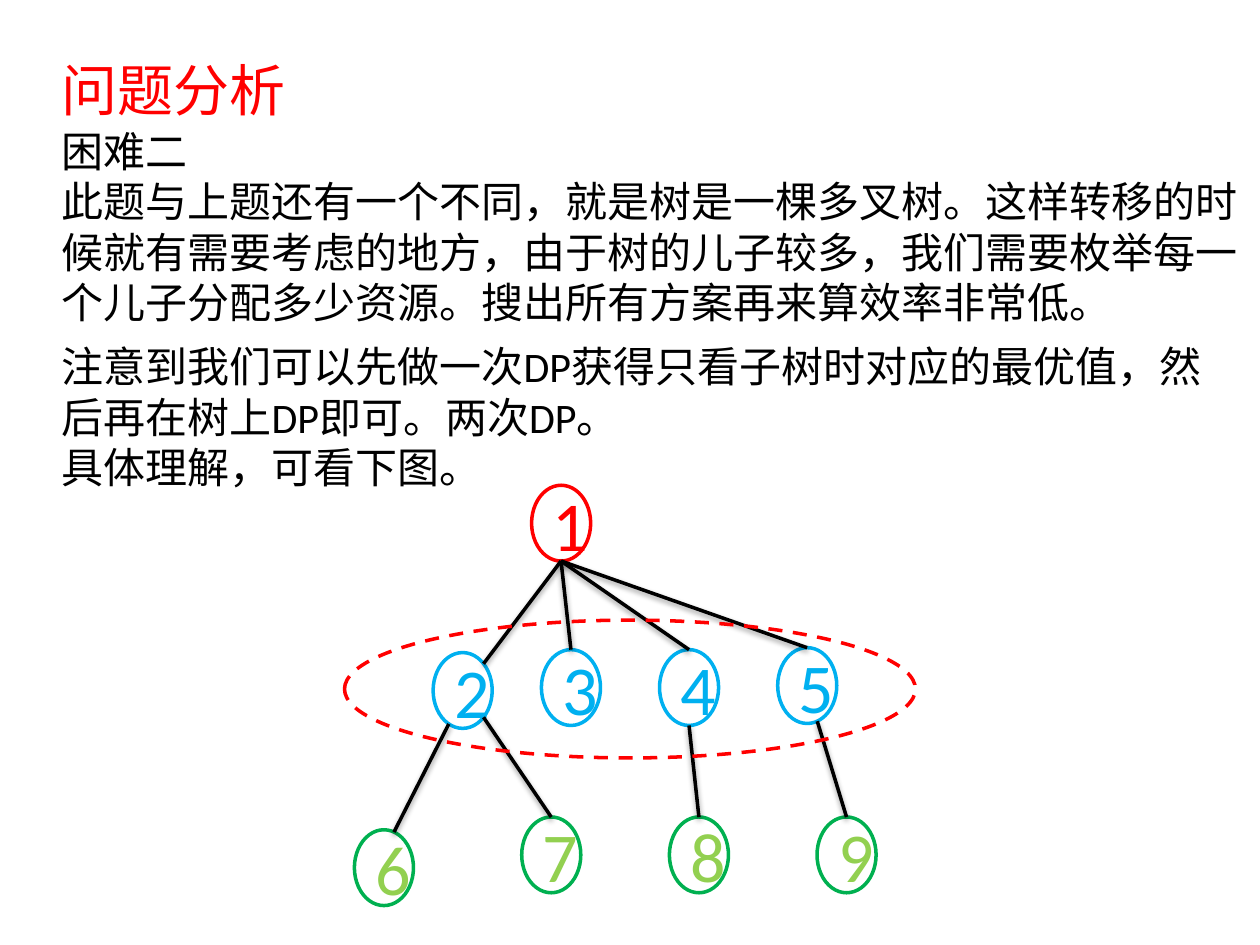
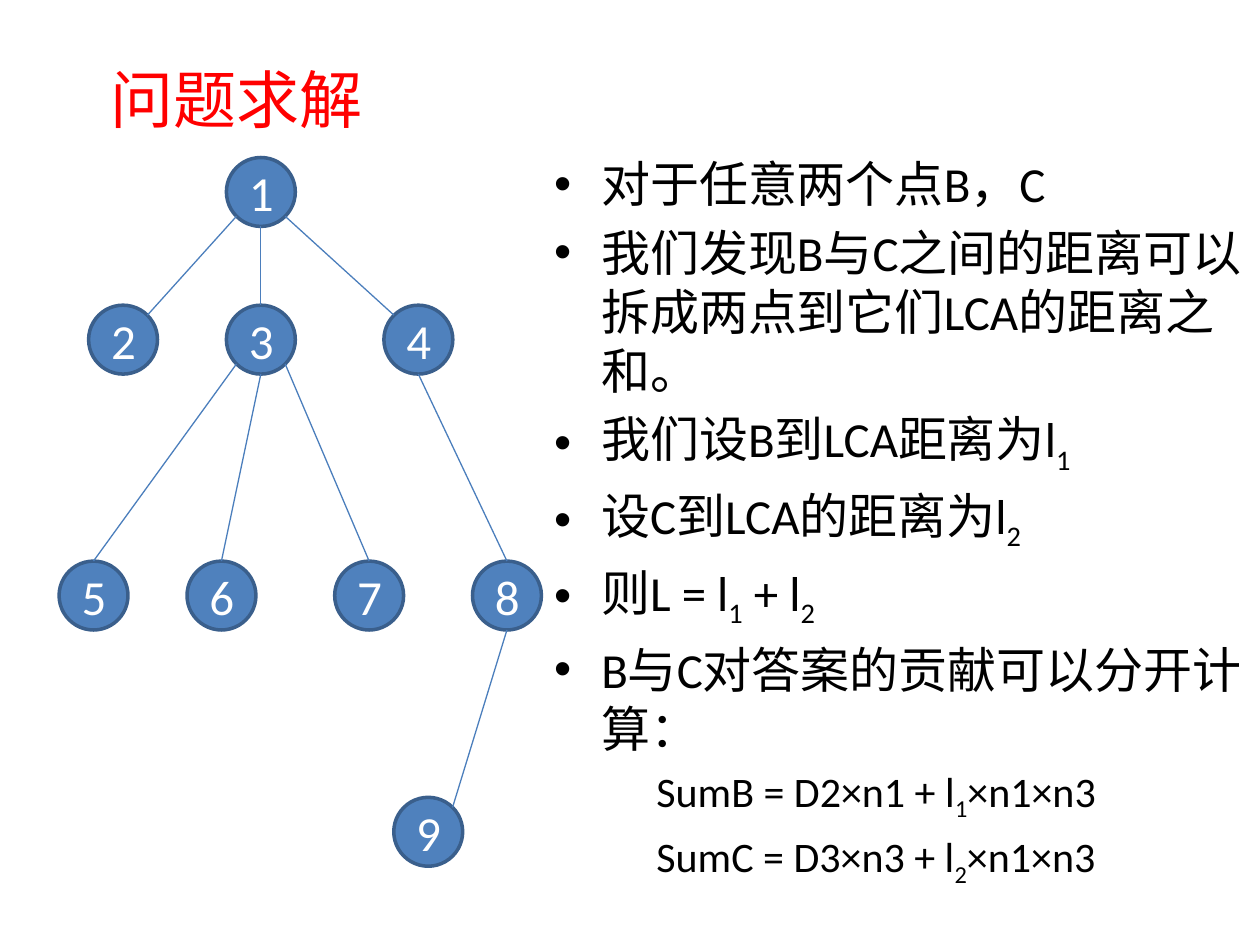
from math import cos, radians, sin

from lxml.etree import SubElement
from pptx import Presentation
from pptx.dml.color import RGBColor
from pptx.enum.dml import MSO_LINE
from pptx.enum.shapes import MSO_CONNECTOR, MSO_SHAPE
from pptx.enum.text import MSO_ANCHOR, MSO_AUTO_SIZE, PP_ALIGN
from pptx.oxml.ns import qn
from pptx.util import Pt

SCALE = 914400 / 128  # EMU in one px
FONT = "Calibri"
RED = RGBColor(0xFF, 0x00, 0x00)
BLACK = RGBColor(0x00, 0x00, 0x00)
WHITE = RGBColor(0xFF, 0xFF, 0xFF)
SKY = RGBColor(0x00, 0xB0, 0xF0)
GREEN = RGBColor(0x00, 0xB0, 0x50)
LIME = RGBColor(0x92, 0xD0, 0x50)
BLUE = RGBColor(0x4F, 0x81, 0xBD)
NAVY = RGBColor(0x3A, 0x5F, 0x8C)
STEEL = RGBColor(0x4B, 0x7E, 0xBC)


def emu(*sizes):
    return [round(size * SCALE) for size in sizes]


def place(shape, box):
    shape.left, shape.top, shape.width, shape.height = emu(*box)


def style(font, size, color):
    font.name = FONT
    font.size = Pt(size)
    font.color.rgb = color


def add_title(slide, text, box, size, align, anchor):
    title = slide.shapes.title
    place(title, box)
    frame = title.text_frame
    frame.text = text
    frame.auto_size = MSO_AUTO_SIZE.NONE
    frame.vertical_anchor = anchor
    para = frame.paragraphs[0]
    para.alignment = align
    style(para.runs[0].font, size, RED)


def add_text(slide, text, box, anchor):
    frame = slide.shapes.add_textbox(*emu(*box)).text_frame
    frame.word_wrap = True
    frame.vertical_anchor = anchor
    frame.text = text
    for para in frame.paragraphs:
        style(para.runs[0].font, 24, BLACK)


def add_oval(slide, box, line, fill=None):
    oval = slide.shapes.add_shape(MSO_SHAPE.OVAL, *emu(*box))
    oval.shadow.inherit = False
    if fill is None:
        oval.fill.background()
    else:
        oval.fill.solid()
        oval.fill.fore_color.rgb = fill
    oval.line.color.rgb = line
    oval.line.width = Pt(2)
    return oval


def add_node(slide, label, box, line, ink, size, fill=None):
    node = add_oval(slide, box, line, fill)
    frame = node.text_frame
    frame.text = label
    frame.vertical_anchor = MSO_ANCHOR.MIDDLE
    para = frame.paragraphs[0]
    para.alignment = PP_ALIGN.CENTER
    style(para.runs[0].font, size, ink)
    return node


def rim(node, angle):
    """Point on the oval's edge; degrees run counterclockwise from the right."""
    turn = radians(angle)
    return (round(node.left + node.width / 2 * (1 + cos(turn))),
            round(node.top + node.height / 2 * (1 - sin(turn))))


def add_edge(slide, start, end, color, width, shade=False):
    edge = slide.shapes.add_connector(MSO_CONNECTOR.STRAIGHT, *start, *end)
    edge.line.color.rgb = color
    edge.line.width = Pt(width)
    effects = SubElement(edge._element.spPr, qn("a:effectLst"))
    if shade:
        shadow = SubElement(effects, qn("a:outerShdw"), blurRad="40000",
                            dist="20000", dir="5400000", rotWithShape="0")
        tint = SubElement(shadow, qn("a:srgbClr"), val="000000")
        SubElement(tint, qn("a:alpha"), val="38000")


def add_edges(slide, nodes, edges, color, width, shade=False):
    for head, leave, tail, reach in edges:
        add_edge(slide, rim(nodes[head], leave), rim(nodes[tail], reach),
                 color, width, shade)


def fill_item(para, text, size):
    """Write text, lowering each character that follows an underscore."""
    first, *rest = text.split("_")
    pieces = [(first, False)]
    for part in rest:
        pieces += [(part[0], True), (part[1:], False)]
    for piece, low in pieces:
        if piece:
            run = para.add_run()
            run.text = piece
            style(run.font, size, BLACK)
            if low:
                run.font._element.set("baseline", "-25000")


def add_list(slide, box, points, sums):
    body = slide.placeholders[1]
    place(body, box)
    frame = body.text_frame
    frame.auto_size = MSO_AUTO_SIZE.NONE
    for index, text in enumerate(points + sums):
        para = frame.paragraphs[0] if index == 0 else frame.add_paragraph()
        if index == 0:
            para.space_before = Pt(0)
        if index < len(points):
            fill_item(para, text, 28)
        else:
            para.level = 1
            props = para._p.get_or_add_pPr()
            props.set("indent", "0")
            SubElement(props, qn("a:buNone"))
            fill_item(para, text, 24)


def build_analysis(deck):
    slide = deck.slides.add_slide(deck.slide_layouts[5])
    add_title(slide, "问题分析", (50, 50, 600, 82), 32,
              PP_ALIGN.LEFT, MSO_ANCHOR.TOP)
    add_text(slide, "困难二\n此题与上题还有一个不同，就是树是一棵多叉树。"
             "这样转移的时候就有需要考虑的地方，由于树的儿子较多，"
             "我们需要枚举每一个儿子分配多少资源。搜出所有方案再来算效率非常低。",
             (50, 120, 1230, 220), MSO_ANCHOR.MIDDLE)
    add_text(slide, "注意到我们可以先做一次DP获得只看子树时对应的最优值，"
             "然后再在树上DP即可。两次DP。\n具体理解，可看下图。",
             (50, 340, 1190, 168), MSO_ANCHOR.TOP)
    levels = [
        (RED, RED, {"1": (540, 493)}),
        (SKY, SKY, {"2": (440, 663), "3": (550, 660),
                    "4": (670, 660), "5": (790, 658)}),
        (GREEN, LIME, {"6": (360, 843), "7": (530, 830),
                       "8": (680, 830), "9": (830, 830)}),
    ]
    nodes = {}
    for line, ink, spots in levels:
        for label, spot in spots.items():
            nodes[label] = add_node(slide, label, (*spot, 60, 77),
                                    line, ink, 40)
    edges = [("1", 270, "2", 45), ("1", 270, "3", 90), ("1", 270, "4", 90),
             ("1", 270, "5", 90), ("2", 242, "6", 70), ("2", 315, "7", 90),
             ("4", 270, "8", 90), ("5", 290, "9", 90)]
    add_edges(slide, nodes, edges, BLACK, 2, shade=True)
    ring = add_oval(slide, (350, 630, 580, 140), RED)
    ring.line.dash_style = MSO_LINE.DASH


def build_solution(deck):
    slide = deck.slides.add_slide(deck.slide_layouts[1])
    add_title(slide, "问题求解", (50, 60, 380, 80), 36,
              PP_ALIGN.CENTER, MSO_ANCHOR.MIDDLE)
    rows = [(160, {"1": 230}),
            (310, {"2": 90, "3": 230, "4": 390}),
            (570, {"5": 60, "6": 190, "7": 340, "8": 480}),
            (810, {"9": 400})]
    nodes = {}
    for top, spots in rows:
        for label, left in spots.items():
            nodes[label] = add_node(slide, label, (left, top, 70, 70),
                                    NAVY, WHITE, 28, BLUE)
    edges = [("1", 225, "2", 45), ("1", 270, "3", 90), ("1", 315, "4", 135),
             ("3", 225, "5", 90), ("3", 270, "6", 90), ("3", 315, "7", 90),
             ("4", 270, "8", 90), ("8", 270, "9", 45)]
    add_edges(slide, nodes, edges, STEEL, 0.75)
    points = ["对于任意两个点B，C",
              "我们发现B与C之间的距离可以拆成两点到它们LCA的距离之和。",
              "我们设B到LCA距离为l_1",
              "设C到LCA的距离为l_2",
              "则L = l_1 + l_2",
              "B与C对答案的贡献可以分开计算："]
    sums = ["SumB = D2×n1 + l_1×n1×n3", "SumC = D3×n3 + l_2×n1×n3"]
    add_list(slide, (550, 150, 730, 760), points, sums)


def main():
    deck = Presentation()
    deck.slide_width, deck.slide_height = emu(1280, 960)
    build_analysis(deck)
    build_solution(deck)
    deck.save("out.pptx")


if __name__ == "__main__":
    main()
